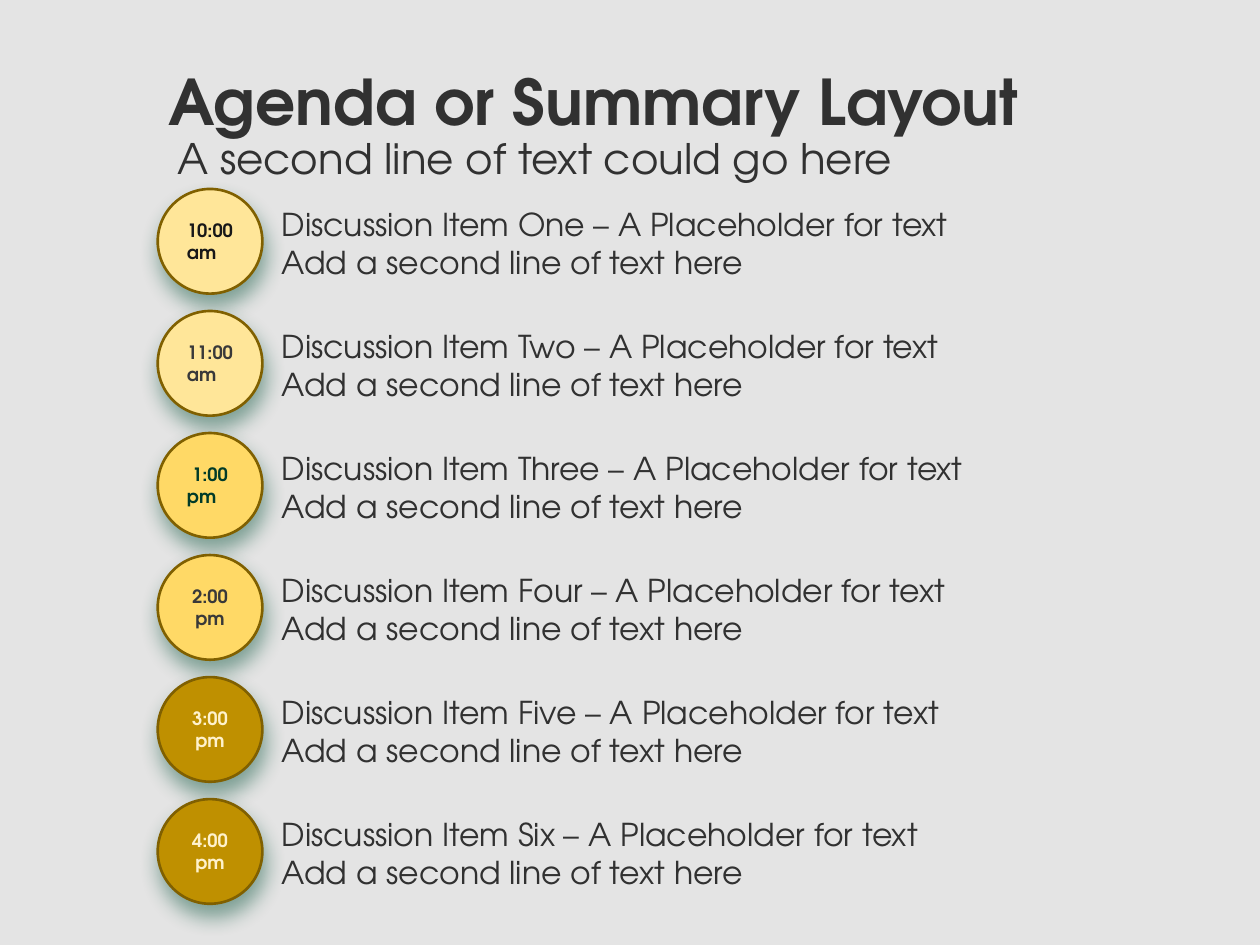
"""Build an agenda slide with six timed discussion items."""
from lxml.etree import SubElement
from pptx import Presentation
from pptx.dml.color import RGBColor
from pptx.enum.shapes import MSO_SHAPE as Shape
from pptx.enum.text import MSO_ANCHOR as Anchor, PP_ALIGN as Align
from pptx.oxml.ns import qn
from pptx.util import Cm, Pt

FONT = "TeX Gyre Adventor"
COLORS = {
    "background": "E4E4E4", "text": "313131", "outline": "806000", "shadow": "024E35",
    "pale": "FFE699", "yellow": "FFD966", "gold": "BF9000",
    "black": "181818", "gray": "393939", "green": "013B28", "cream": "FFF2CC",
}
TITLE = "Agenda or Summary Layout"
SUBTITLE = "A second line of text could go here"
DETAIL = "Add a second line of text here"
AGENDA = [
    ("One", "10:00", "am", "pale", "black", 0.34),
    ("Two", "11:00", "am", "pale", "gray", 0.34),
    ("Three", "1:00", "pm", "yellow", "green", 0.34),
    ("Four", "2:00", "pm", "yellow", "gray", 0),
    ("Five", "3:00", "pm", "gold", "cream", 0),
    ("Six", "4:00", "pm", "gold", "cream", 0),
]
CIRCLE_LEFT, CIRCLE_TOP, DIAMETER = 3.18, 3.81, 2.11
ITEM_LEFT, ITEM_TOP, ROW_PITCH = 5.28, 4.01, 2.46


def rgb(name):
    return RGBColor.from_string(COLORS[name])


def style(paragraph, size, color, bold=False):
    font = paragraph.font
    font.name, font.size, font.bold = FONT, Pt(size), bold
    font.color.rgb = rgb(color)


def add_text(slide, text, place, size, bold=False, anchor=Anchor.TOP, margin=0, indent=0):
    frame = slide.shapes.add_textbox(*map(Cm, place)).text_frame
    frame.word_wrap = True
    frame.vertical_anchor = anchor
    paragraph = frame.paragraphs[0]
    paragraph.text = text
    properties = paragraph._p.get_or_add_pPr()
    properties.set("marL", str(Cm(margin)))
    properties.set("indent", str(Cm(indent)))
    style(paragraph, size, "text", bold)


def add_shadow(shape):
    shape.shadow.inherit = False
    effects = shape._element.spPr.find(qn("a:effectLst"))
    shadow = SubElement(effects, qn("a:outerShdw"), blurRad=str(Pt(12)), dist=str(Pt(7)),
                        dir=str(79 * 60000), algn="ctr", rotWithShape="0")
    tint = SubElement(shadow, qn("a:srgbClr"), val=COLORS["shadow"])
    SubElement(tint, qn("a:alpha"), val="45000")


def add_time(slide, top, hour, half, fill, color, right_margin):
    circle = slide.shapes.add_shape(
        Shape.OVAL, Cm(CIRCLE_LEFT), Cm(top), Cm(DIAMETER), Cm(DIAMETER))
    circle.fill.solid()
    circle.fill.fore_color.rgb = rgb(fill)
    circle.line.color.rgb = rgb("outline")
    circle.line.width = Pt(1.5)
    add_shadow(circle)
    frame = circle.text_frame
    frame.margin_left = frame.margin_right = 0
    frame.vertical_anchor = Anchor.MIDDLE
    frame.text = f"{hour}\n{half}"
    for paragraph in frame.paragraphs:
        paragraph.alignment = Align.CENTER
        style(paragraph, 10.5, color, bold=True)
    frame.paragraphs[1]._p.get_or_add_pPr().set("marR", str(Cm(right_margin)))


def main():
    deck = Presentation()
    deck.slide_width, deck.slide_height = Cm(25.4), Cm(19.05)
    slide = deck.slides.add_slide(deck.slide_layouts[6])
    slide.background.fill.solid()
    slide.background.fill.fore_color.rgb = rgb("background")

    add_text(slide, TITLE, (3.15, 1.14, 21.18, 1.78), 36, bold=True, anchor=Anchor.MIDDLE)
    add_text(slide, SUBTITLE, (3.33, 2.54, 21.87, 1.27), 24, margin=0.48, indent=-0.48)
    for row, (number, *time) in enumerate(AGENDA):
        offset = row * ROW_PITCH
        add_text(slide, f"Discussion Item {number} – A Placeholder for text\v{DETAIL}",
                 (ITEM_LEFT, ITEM_TOP + offset, 18.42, 2.34), 18, margin=0.15)
        add_time(slide, CIRCLE_TOP + offset, *time)
    deck.save("out.pptx")


if __name__ == "__main__":
    main()
